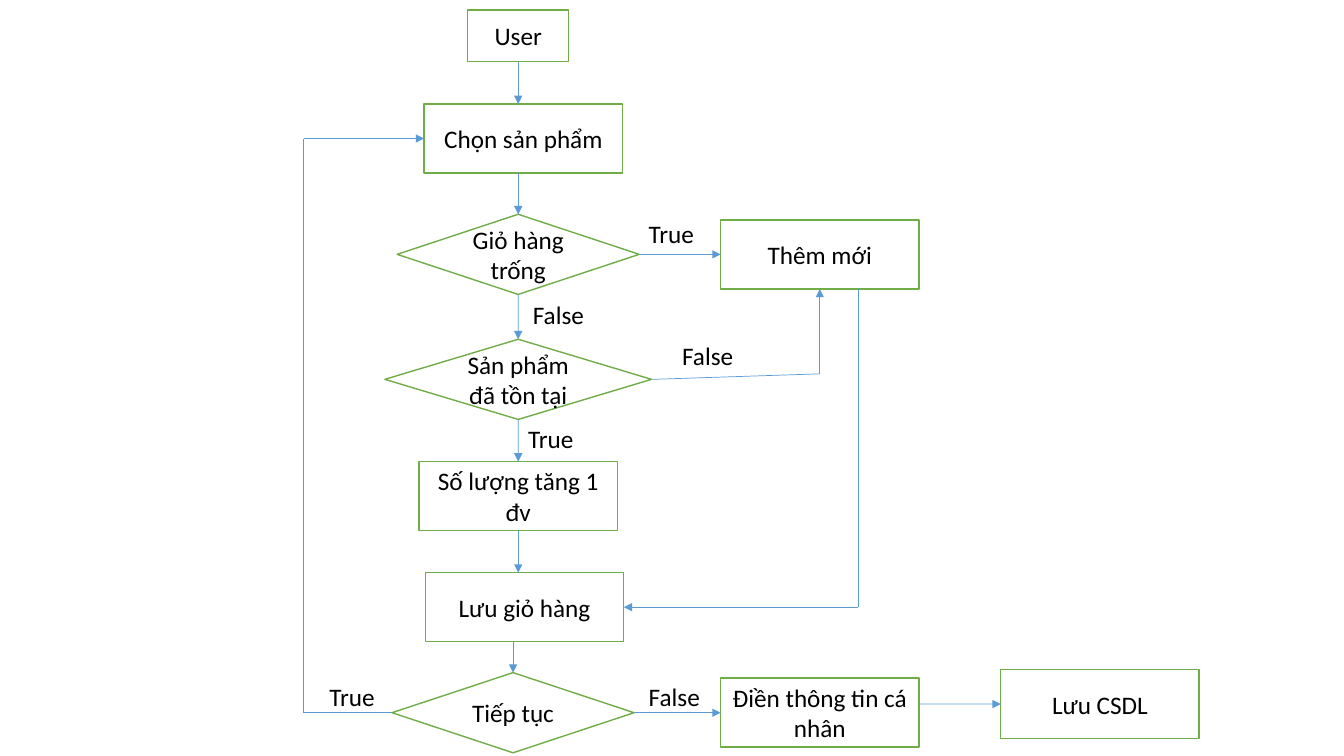
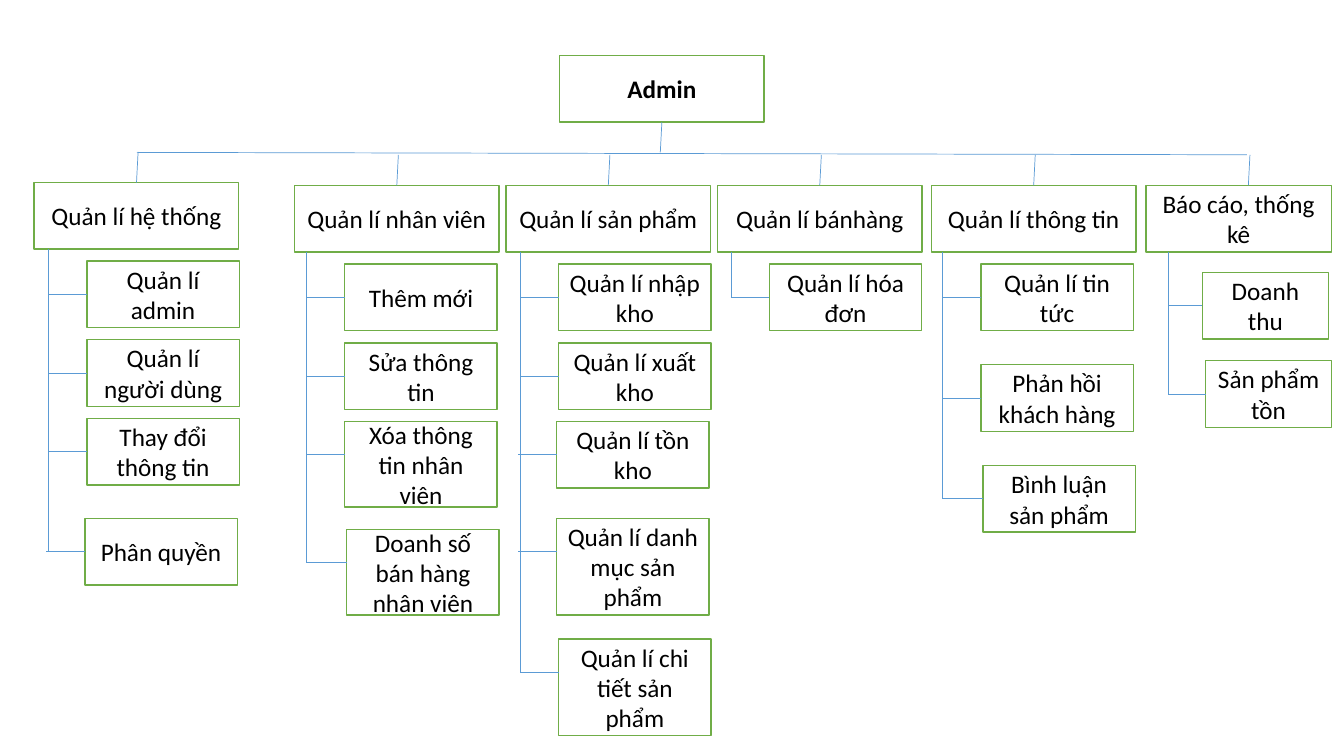
from pptx import Presentation
from pptx.dml.color import RGBColor
from pptx.enum.shapes import MSO_CONNECTOR, MSO_SHAPE
from pptx.enum.text import MSO_ANCHOR, PP_ALIGN
from pptx.oxml.ns import qn
from pptx.util import Cm, Pt
from lxml.etree import SubElement

# Shared style
HUES = {"fill": "FFFFFF", "edge": "70AD47", "line": "5B9BD5", "text": "000000"}
FONT = "Calibri"
SIZE = 18
TOP, LEFT, DOWN, RIGHT = range(4)

# Cart flow: name -> (text, kind, left, top), in cm
KINDS = {
    "start": (MSO_SHAPE.RECTANGLE, 2.54, 1.3),
    "step": (MSO_SHAPE.RECTANGLE, 5, 1.74),
    "test": (MSO_SHAPE.FLOWCHART_DECISION, 6.1, 2.02),
    "wide": (MSO_SHAPE.FLOWCHART_DECISION, 6.72, 2.02),
}
STEPS = {
    "user": ("User", "start", 11.79, 0.25),
    "pick": ("Chọn sản phẩm", "step", 10.69, 2.62),
    "empty": ("Giỏ hàng trống", "test", 10.01, 5.4),
    "new": ("Thêm mới", "step", 18.16, 5.54),
    "found": ("Sản phẩm đã tồn tại", "wide", 9.7, 8.55),
    "add": ("Số lượng tăng 1 đv", "step", 10.56, 11.63),
    "save": ("Lưu giỏ hàng", "step", 10.72, 14.43),
    "more": ("Tiếp tục", "test", 9.88, 16.95),
    "form": ("Điền thông tin cá nhân", "step", 18.16, 17.09),
    "store": ("Lưu CSDL", "step", 25.22, 16.87),
}
# Each route runs through (name, side) or (x, y) stops; its last leg has the arrow
ROUTES = [
    [("user", DOWN), (13.06, 2.62)],
    [(13.06, 4.36), ("empty", TOP)],
    [("empty", RIGHT), ("new", LEFT)],
    [("empty", DOWN), ("found", TOP)],
    [("found", RIGHT), (20.66, 9.42), ("new", DOWN)],
    [("found", DOWN), ("add", TOP)],
    [("add", DOWN), (13.06, 14.43)],
    [(12.93, 16.17), ("more", TOP)],
    [("more", RIGHT), ("form", LEFT)],
    [(23.16, 17.74), ("store", LEFT)],
    [("more", LEFT), (7.65, 17.96), (7.65, 3.49), ("pick", LEFT)],
    [(21.62, 7.28), (21.62, 15.3), ("save", RIGHT)],
]
LABELS = [
    ("True", 16.1, 5.38), ("False", 13.18, 7.42), ("False", 16.94, 8.46),
    ("True", 13.06, 10.54), ("False", 16.1, 17.04), ("True", 8.05, 17.04),
]

# Admin tree: head, left, top, width, rail x, child gap, child width,
# children as (text, top, height, shift)
HEAD, ROW, TALL, HUGE = 5.16, 1.68, 2.16, 2.44
TREE = [
    ("Quản lí hệ thống", 0.86, 4.6, HEAD, 1.22, 0.97, 3.84, [
        ("Quản lí admin", 6.58, ROW, 0),
        ("Quản lí người dùng", 8.56, ROW, 0),
        ("Thay đổi thông tin", 10.54, ROW, 0),
        ("Phân quyền", 13.06, ROW, -0.05)]),
    ("Quản lí nhân viên", 7.42, 4.67, HEAD, 7.72, 0.97, 3.84, [
        ("Thêm mới", 6.65, ROW, 0),
        ("Sửa thông tin", 8.64, ROW, 0),
        ("Xóa thông tin nhân viên", 10.62, TALL, 0),
        ("Doanh số bán hàng nhân viên", 13.34, TALL, 0.05)]),
    ("Quản lí sản phẩm", 12.75, 4.67, HEAD, 13.11, 0.97, 3.84, [
        ("Quản lí nhập kho", 6.65, ROW, 0),
        ("Quản lí xuất kho", 8.64, ROW, 0),
        ("Quản lí tồn kho", 10.62, ROW, -0.05),
        ("Quản lí danh mục sản phẩm", 13.06, HUGE, -0.05),
        ("Quản lí chi tiết sản phẩm", 16.1, HUGE, 0)]),
    ("Quản lí bánhàng", 18.08, 4.67, HEAD, 18.42, 0.97, 3.84, [
        ("Quản lí hóa đơn", 6.65, ROW, 0)]),
    ("Quản lí thông tin", 23.47, 4.67, HEAD, 23.75, 0.97, 3.84, [
        ("Quản lí tin tức", 6.65, ROW, 0),
        ("Phản hồi khách hàng", 9.19, ROW, 0),
        ("Bình luận sản phẩm", 11.73, ROW, 0.05)]),
    ("Báo cáo, thống kê", 28.88, 4.67, 4.67, 29.44, 0.86, 3.18, [
        ("Doanh thu", 6.86, ROW, 0),
        ("Sản phẩm tồn", 9.09, ROW, 0.08)]),
]
DROP = 0.77


def hue(name):
    return RGBColor.from_string(HUES[name])


def write(shape, text, bold=False):
    para = shape.text_frame.paragraphs[0]
    para.text = text
    for run in para.runs:
        run.font.name, run.font.size, run.font.bold = FONT, Pt(SIZE), bold
        run.font.color.rgb = hue("text")
    return para


def box(slide, text, x, y, w, h, form=MSO_SHAPE.RECTANGLE, bold=False):
    shape = slide.shapes.add_shape(form, Cm(x), Cm(y), Cm(w), Cm(h))
    shape.shadow.inherit = False
    shape.fill.solid()
    shape.fill.fore_color.rgb = hue("fill")
    shape.line.color.rgb = hue("edge")
    shape.line.width = Pt(1)
    shape.text_frame.word_wrap = True
    shape.text_frame.vertical_anchor = MSO_ANCHOR.MIDDLE
    write(shape, text, bold).alignment = PP_ALIGN.CENTER
    return shape


def spot(stop):
    """Point of a stop: the middle of a shape's side, or a plain point."""
    first, second = stop
    if isinstance(first, (int, float)):
        return Cm(first), Cm(second)
    mid = first.left + first.width // 2, first.top + first.height // 2
    return {
        TOP: (mid[0], first.top),
        LEFT: (first.left, mid[1]),
        DOWN: (mid[0], first.top + first.height),
        RIGHT: (first.left + first.width, mid[1]),
    }[second]


def link(slide, start, end, arrow=False):
    line = slide.shapes.add_connector(
        MSO_CONNECTOR.STRAIGHT, *spot(start), *spot(end))
    for stop, join in ((start, line.begin_connect), (end, line.end_connect)):
        if not isinstance(stop[0], (int, float)):
            join(*stop)
    line.line.color.rgb = hue("line")
    line.line.width = Pt(0.5)
    props = line.line._get_or_add_ln()
    if arrow:
        SubElement(props, qn("a:tailEnd"), type="triangle")
    SubElement(props.getparent(), qn("a:effectLst"))


def draw_flow(slide):
    nodes = {}
    for name, (text, kind, x, y) in STEPS.items():
        form, w, h = KINDS[kind]
        nodes[name] = box(slide, text, x, y, w, h, form)
    for route in ROUTES:
        stops = [(nodes.get(a, a), b) for a, b in route]
        for i, (start, end) in enumerate(zip(stops, stops[1:]), 2):
            link(slide, start, end, arrow=i == len(stops))
    for text, x, y in LABELS:
        label = slide.shapes.add_textbox(Cm(x), Cm(y), Cm(1.9), Cm(1.02))
        label.text_frame.word_wrap = False
        write(label, text)


def draw_tree(slide):
    # Root and main bar
    root = box(slide, "Admin", 14.1, 1.4, HEAD, ROW, bold=True)
    link(slide, (root, DOWN), (16.64, 3.84))
    link(slide, (3.45, 3.84), (31.42, 3.9))

    # Branches with their rails and children
    for text, x, y, w, rail, gap, wide, kids in TREE:
        head = box(slide, text, x, y, w, ROW)
        mid = x + HEAD / 2
        foot = (head, TOP) if w == HEAD else (mid, y)
        link(slide, (mid + 0.04, y - DROP), foot)
        link(slide, (rail, y + ROW), (rail, kids[-1][1] + ROW / 2))
        for kid, top, high, shift in kids:
            left = rail + gap + shift
            child = box(slide, kid, left, top, wide, high)
            tick = top + ROW / 2
            end = (child, LEFT) if high == ROW else (left, tick)
            link(slide, (rail + min(shift, 0), tick), end)


def main():
    deck = Presentation()
    deck.slide_width, deck.slide_height = Cm(33.87), Cm(19.05)
    for draw in (draw_flow, draw_tree):
        draw(deck.slides.add_slide(deck.slide_layouts[6]))
    deck.save("out.pptx")


if __name__ == "__main__":
    main()
